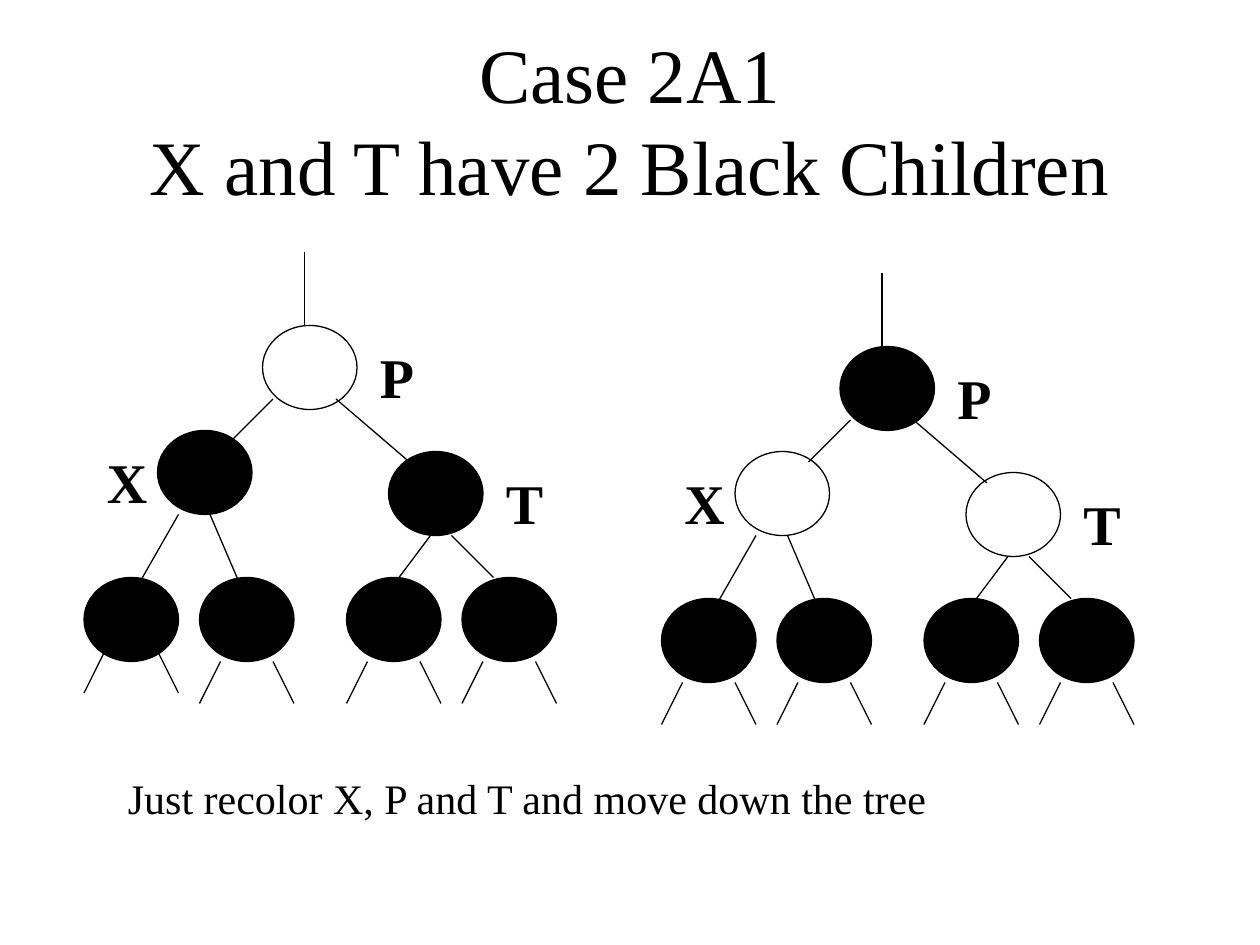
"""Build a slide showing how a red-black tree is recoloured in case 2A1."""
from lxml.etree import SubElement
from pptx import Presentation
from pptx.dml.color import RGBColor
from pptx.enum.shapes import MSO_CONNECTOR as Connector, MSO_SHAPE as Shape
from pptx.enum.text import MSO_ANCHOR as Anchor, MSO_AUTO_SIZE as AutoSize, PP_ALIGN as Align
from pptx.oxml.ns import qn
from pptx.util import Pt

TITLE = "Case 2A1\vX and T have 2 Black Children"
CAPTION = "Just recolor X, P and T and move down the tree"
FONT, BLACK, WHITE = "Times New Roman", "000000", "FFFFFF"
NODE_WIDTH, NODE_HEIGHT = 54, 48
STUB_INSET, STUB_DROP = 12, 24

NODES = {"X": (90, 246), "P": (150, 186), "T": (222, 258)}
LABELS = {"X": (54, 252), "P": (210, 192), "T": (282, 264)}
LEAF_LEFTS, LEAF_TOP = (48, 114, 198, 264), 330
EDGES = [
    (174, 186, 174, 144),
    (156, 228, 132, 252),
    (192, 228, 234, 264),
    (102, 294, 78, 336),
    (120, 294, 138, 336),
    (246, 306, 228, 330),
    (258, 306, 282, 330),
]
TREES = [
    {"offset": (0, 0), "white": "P", "stub_lifts": (6, 0, 0, 0)},
    {"offset": (330, 12), "white": "XT", "stub_lifts": (0, 0, 0, 0)},
]


def color(value):
    return RGBColor.from_string(value)


def add_text(slide, text, left, top, width, height, size, bold=False, before=0):
    frame = slide.shapes.add_textbox(Pt(left), Pt(top), Pt(width), Pt(height)).text_frame
    frame.word_wrap = True
    frame.text = text
    paragraph = frame.paragraphs[0]
    paragraph.space_before = Pt(before)
    for run in paragraph.runs:
        run.font.name, run.font.size, run.font.bold = FONT, Pt(size), bold
        run.font.color.rgb = color(BLACK)
    return frame


def add_node(slide, left, top, fill):
    node = slide.shapes.add_shape(
        Shape.OVAL, Pt(left), Pt(top), Pt(NODE_WIDTH), Pt(NODE_HEIGHT))
    node.shadow.inherit = False
    node.fill.solid()
    node.fill.fore_color.rgb = color(fill)
    node.line.color.rgb = color(BLACK)
    node.line.width = Pt(0.75)


def add_edge(slide, *ends):
    edge = slide.shapes.add_connector(Connector.STRAIGHT, *map(Pt, ends))
    edge.line.color.rgb = color(BLACK)
    edge.line.width = Pt(0.75)
    SubElement(edge._element.spPr, qn("a:effectLst"))


def add_tree(slide, offset, white, stub_lifts):
    dx, dy = offset
    for name, (left, top) in NODES.items():
        add_node(slide, left + dx, top + dy, WHITE if name in white else BLACK)
    for left in LEAF_LEFTS:
        add_node(slide, left + dx, LEAF_TOP + dy, BLACK)
    for x1, y1, x2, y2 in EDGES:
        add_edge(slide, x1 + dx, y1 + dy, x2 + dx, y2 + dy)
    for leaf_left, lift in zip(LEAF_LEFTS, stub_lifts):
        left, top = leaf_left + dx, LEAF_TOP + NODE_HEIGHT + dy - lift
        right = left + NODE_WIDTH
        add_edge(slide, left + STUB_INSET, top, left, top + STUB_DROP)
        add_edge(slide, right - STUB_INSET, top, right, top + STUB_DROP)
    for name, (left, top) in LABELS.items():
        label = add_text(slide, name, left + dx, top + dy, 36, 46, 32, True, 20)
        label.auto_size = AutoSize.SHAPE_TO_FIT_TEXT


def main():
    deck = Presentation()
    deck.slide_width, deck.slide_height = Pt(720), Pt(540)
    slide = deck.slides.add_slide(deck.slide_layouts[6])
    title = add_text(slide, TITLE, 54, 48, 612, 90, 44)
    title.vertical_anchor = Anchor.MIDDLE
    title.margin_bottom = Pt(54)
    title.paragraphs[0].alignment = Align.CENTER
    for tree in TREES:
        add_tree(slide, **tree)
    caption = add_text(slide, CAPTION, 66, 438, 564, 36, 24, before=15)
    caption.auto_size = AutoSize.SHAPE_TO_FIT_TEXT
    deck.save("out.pptx")


if __name__ == "__main__":
    main()
